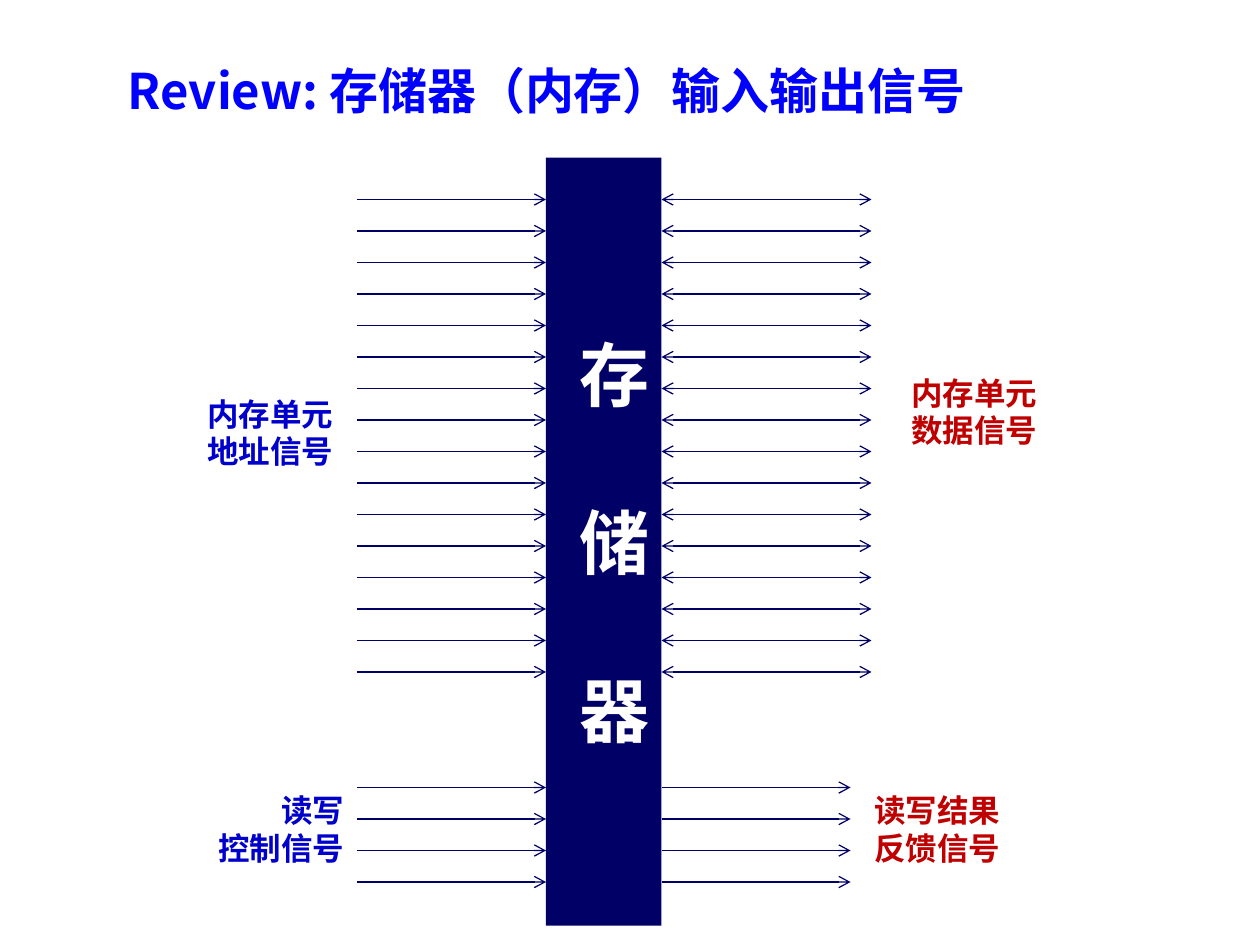
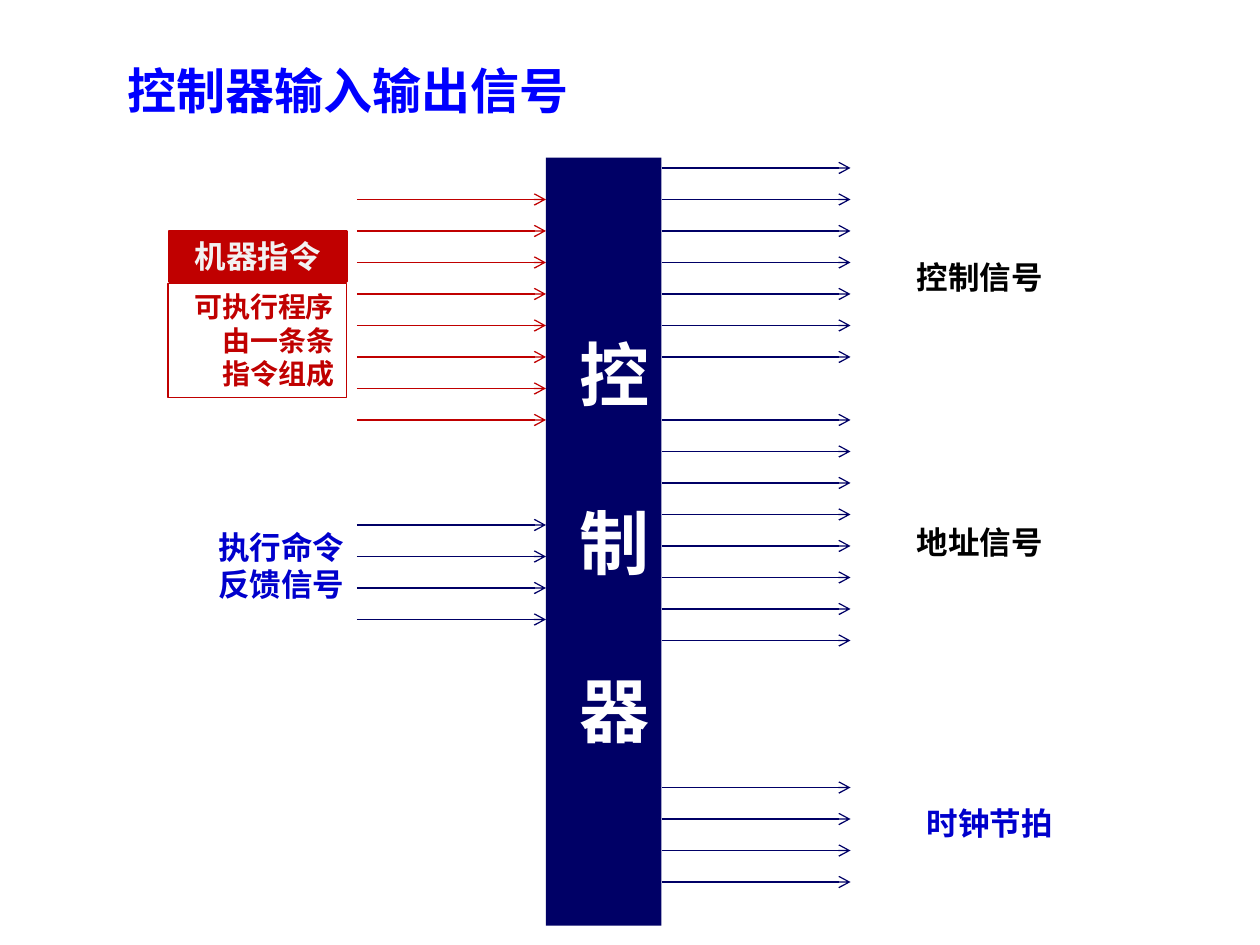
"""Build two slides on the input and output signals of the memory and the controller."""
from lxml import etree
from pptx import Presentation
from pptx.dml.color import RGBColor
from pptx.enum import shapes, text
from pptx.oxml.ns import qn
from pptx.util import Pt

FONT = "Noto Sans CJK SC"
COLORS = {
    "title": "0000FF", "navy": "000066", "blue": "0000CC", "red": "C00000",
    "white": "FFFFFF", "pale": "F2F2F2", "black": "000000",
}
LEFT, CENTER, RIGHT = text.PP_ALIGN.LEFT, text.PP_ALIGN.CENTER, text.PP_ALIGN.RIGHT
INPUT_START, BAR_LEFT, BAR_RIGHT, OUTPUT_END, DATA_END = 204, 312, 378, 486, 498
ROW_STEP = 18


def write(shape, lines, size, color, align, gap=0, wrap=True):
    """Fill a shape with one bold paragraph per line."""
    frame = shape.text_frame
    frame.word_wrap = wrap
    frame.vertical_anchor = text.MSO_ANCHOR.TOP
    for index, line in enumerate(lines):
        paragraph = frame.add_paragraph() if index else frame.paragraphs[0]
        paragraph.alignment = align
        if index and gap:
            paragraph.space_before = Pt(gap)
        run = paragraph.add_run()
        run.text = line
        run.font.size = Pt(size)
        run.font.bold = True
        run.font.name = FONT
        run.font.color.rgb = RGBColor.from_string(COLORS[color])
        etree.SubElement(run.font._element, qn("a:ea"), typeface=FONT)


def add_box(slide, area, fill, line_width=0):
    """Add a rectangle, outlined in red when a line width is given."""
    box = slide.shapes.add_shape(shapes.MSO_SHAPE.RECTANGLE, *map(Pt, area))
    box.shadow.inherit = False
    box.fill.solid()
    box.fill.fore_color.rgb = RGBColor.from_string(COLORS[fill])
    if line_width:
        box.line.color.rgb = RGBColor.from_string(COLORS["red"])
        box.line.width = Pt(line_width)
    else:
        box.line.fill.background()
    return box


INPUT, OUTPUT, DATA = (INPUT_START, BAR_LEFT), (BAR_RIGHT, OUTPUT_END), (BAR_RIGHT, DATA_END)
PAGES = [
    {
        "title": "Review: 存储器（内存）输入输出信号",
        "bar": "存储器",
        "arrows": [
            (INPUT, 114, 16, "navy"),
            (INPUT, 450, 4, "navy"),
            (OUTPUT, 450, 4, "navy"),
            (DATA, 114, 16, "navy"),
        ],
        "labels": [
            (111, 222, ["内存单元", "地址信号"], "blue", RIGHT, 0),
            (513.5, 210, ["内存单元", "数据信号"], "red", RIGHT, 0),
            (117.5, 448.5, ["读写", "控制信号"], "blue", RIGHT, 0),
            (492.5, 448.5, ["读写结果", "反馈信号"], "red", LEFT, 0),
        ],
    },
    {
        "title": "控制器输入输出信号",
        "bar": "控制器",
        "arrows": [
            (INPUT, 114, 8, "red"),
            (INPUT, 300, 4, "navy"),
            (OUTPUT, 96, 7, "navy"),
            (OUTPUT, 240, 8, "navy"),
            (OUTPUT, 450, 4, "navy"),
        ],
        "labels": [
            (516.5, 144, ["控制信号", "地址信号"], "black", RIGHT, 130),
            (117.5, 298, ["执行命令", "反馈信号"], "blue", RIGHT, 0),
            (522.5, 456, ["时钟节拍"], "blue", LEFT, 0),
        ],
    },
]

presentation = Presentation()
presentation.slide_width, presentation.slide_height = Pt(720), Pt(540)

for page in PAGES:
    slide = presentation.slides.add_slide(presentation.slide_layouts[6])
    title = slide.shapes.add_textbox(Pt(66), Pt(31), Pt(510), Pt(41))
    write(title, [page["title"]], 28, "title", LEFT)

    bar = add_box(slide, (BAR_LEFT, 90, BAR_RIGHT - BAR_LEFT, 439), "navy")
    bar.text_frame.margin_top = Pt(99.6)
    write(bar, page["bar"], 40, "white", RIGHT, gap=48)

    for (start, end), top, count, color in page["arrows"]:
        for row in range(count):
            y = Pt(top + row * ROW_STEP)
            arrow = slide.shapes.add_connector(
                shapes.MSO_CONNECTOR.STRAIGHT, Pt(start), y, Pt(end), y)
            arrow.line.color.rgb = RGBColor.from_string(COLORS[color])
            arrow.line.width = Pt(0.75)
            line = arrow.line._get_or_add_ln()
            if end == DATA_END:
                etree.SubElement(line, qn("a:headEnd"), type="arrow")
            etree.SubElement(line, qn("a:tailEnd"), type="arrow")
            etree.SubElement(arrow._element.spPr, qn("a:effectLst"))

    for left, top, lines, color, align, gap in page["labels"]:
        height = 7.2 + 21.6 * len(lines) + gap
        label = slide.shapes.add_textbox(Pt(left), Pt(top), Pt(86.4), Pt(height))
        write(label, lines, 18, color, align, gap, wrap=False)

header = add_box(slide, (96.5, 132, 101.5, 29), "red", 1.5)
write(header, ["机器指令"], 18, "pale", CENTER)
note = add_box(slide, (96, 162, 102, 65), "white", 0.75)
write(note, ["可执行程序", "由一条条", "指令组成"], 16, "red", RIGHT)

presentation.save("out.pptx")
